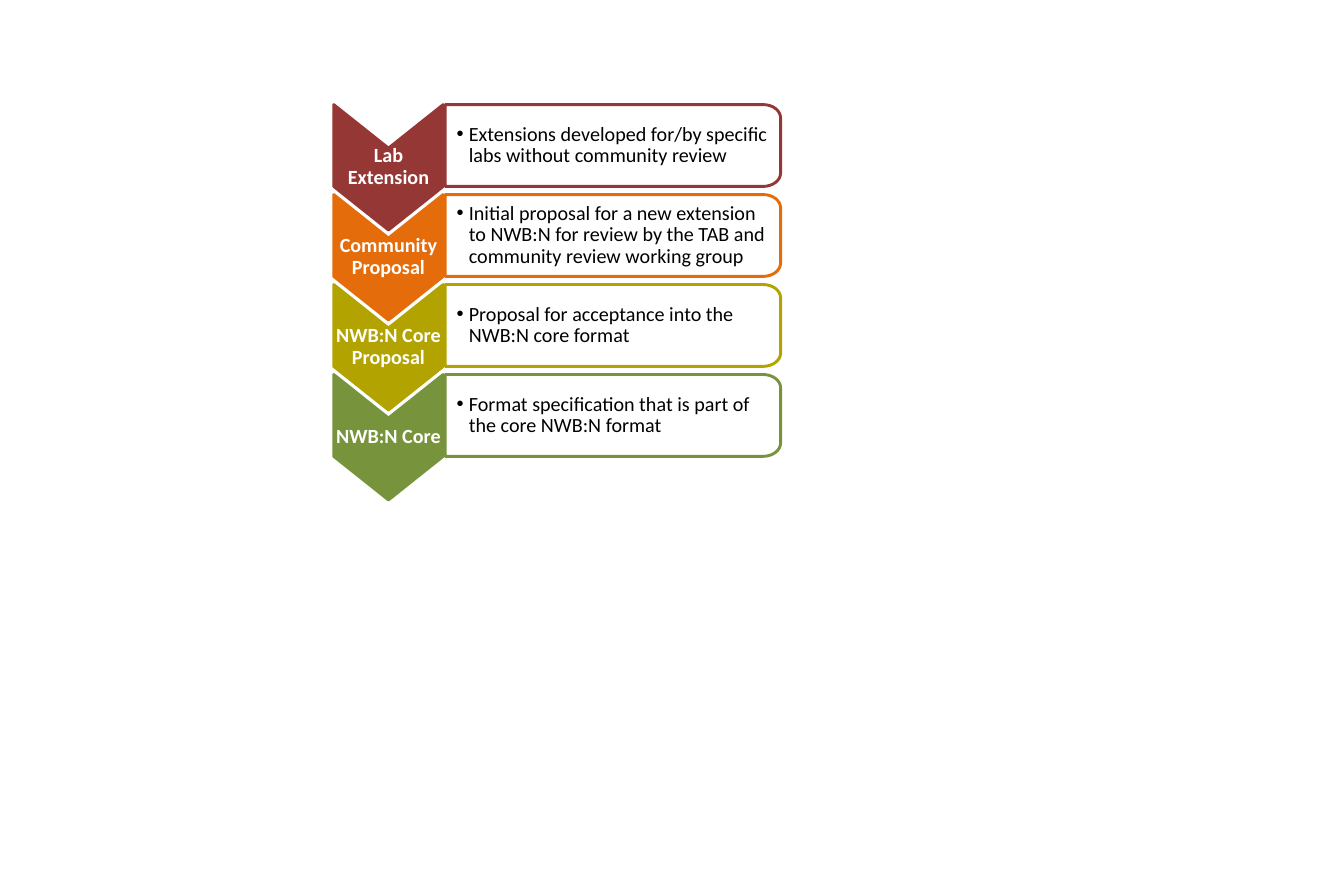
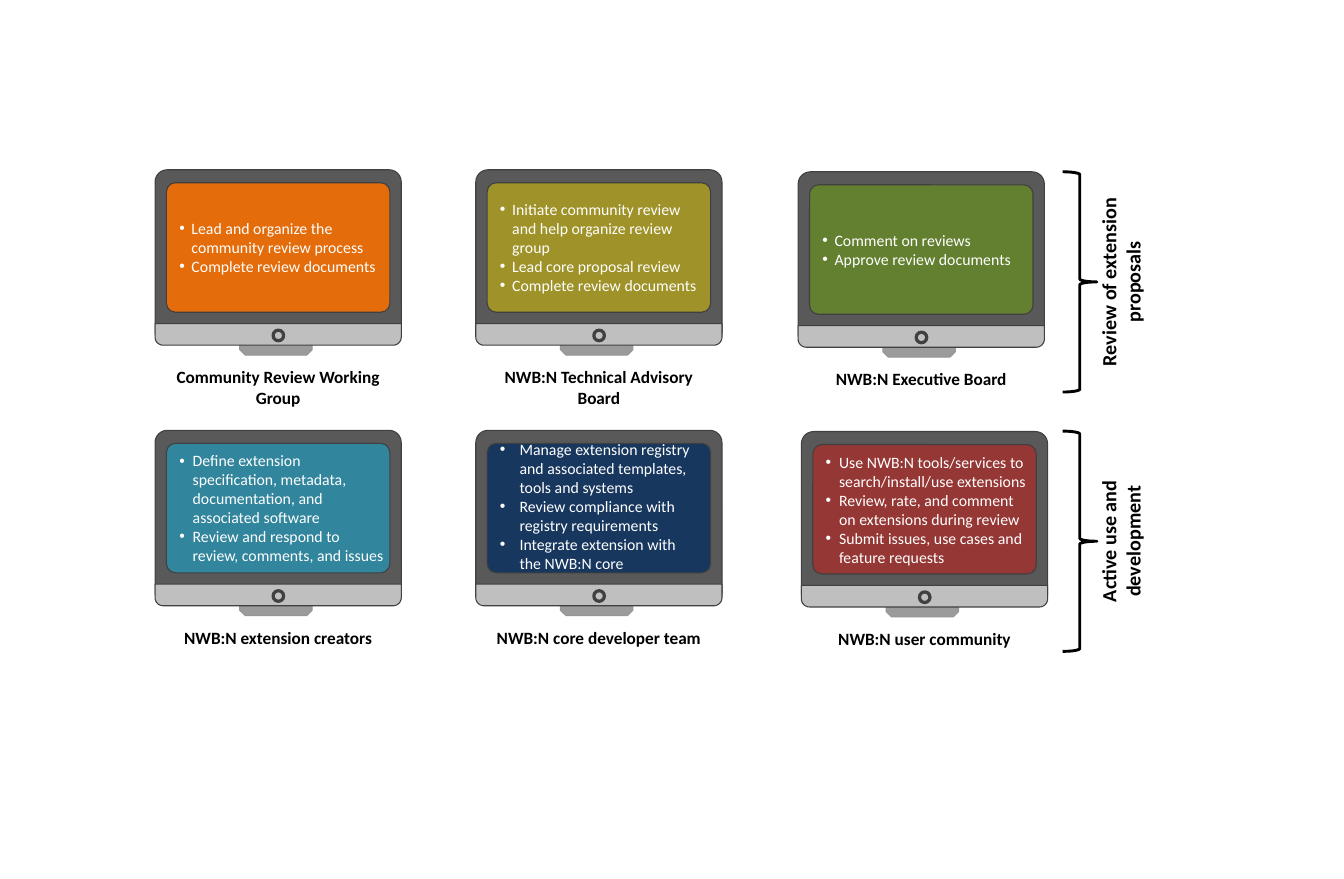
from math import cos, pi, sin

from lxml.etree import SubElement
from pptx import Presentation
from pptx.dml.color import RGBColor
from pptx.enum.shapes import MSO_SHAPE as Preset
from pptx.enum.text import MSO_ANCHOR as Anchor, MSO_AUTO_SIZE as AutoSize, PP_ALIGN as Align
from pptx.oxml.ns import qn
from pptx.util import Cm, Pt

FONT = "Calibri"
WHITE, BLACK = "FFFFFF", "000000"
CASING, EDGE, SILVER = "595959", "404040", "BFBFBF"
RED, ORANGE = "953735", "E46C0A"
DEFAULT_INSETS = (0.25, 0.13, 0.25, 0.13)

STAGES = [
    ("Lab Extension", RED,
     "Extensions developed for/by specific labs without community review"),
    ("Community Proposal", ORANGE,
     "Initial proposal for a new extension to NWB:N for review by the TAB "
     "and community review working group"),
    ("NWB:N Core Proposal", "B2A300",
     "Proposal for acceptance into the NWB:N core format"),
    ("NWB:N Core", "77933C",
     "Format specification that is part of the core NWB:N format"),
]
STAGE_LEFT, STAGE_TOP, STAGE_PITCH = 8.2, 2.57, 2.21
CHEVRON_WIDTH, CHEVRON_SIDE, CHEVRON_POINT = 2.69, 2.01, 1.07
PANEL_LEFT, PANEL_WIDTH = 10.94, 8.24

MONITORS = [
    dict(at=(3.81, 4.17), color=ORANGE, caption="Community Review Working Group",
         duties=["Lead and organize the community review process",
                 "Complete review documents"]),
    dict(at=(11.69, 4.17), color="9E9228", caption="NWB:N Technical Advisory Board",
         duties=["Initiate community review and help organize review group",
                 "Lead core proposal review",
                 "Complete review documents"]),
    dict(at=(19.61, 4.22), color="638031", caption="NWB:N Executive Board",
         duties=["Comment on reviews", "Approve review documents"]),
    dict(at=(3.81, 10.57), color="31859C", caption="NWB:N extension creators",
         indent=0.33, insets=(0.25, 0.13, 0, 0.13),
         duties=["Define extension specification, metadata, documentation, "
                 "and associated software",
                 "Review and respond to review, comments, and issues"]),
    dict(at=(11.69, 10.57), color="17375E", caption="NWB:N core developer team",
         indent=0.48, insets=(0.25, 0.05, 0.25, 0.13),
         duties=["Manage extension registry and associated templates, tools and systems",
                 "Review compliance with registry requirements",
                 "Integrate extension with the NWB:N core"]),
    dict(at=(19.69, 10.6), color=RED, caption="NWB:N user community",
         indent=0.33, insets=(0.25, 0.13, 0, 0.13),
         duties=["Use NWB:N tools/services to search/install/use extensions",
                 "Review, rate, and comment on extensions during review",
                 "Submit issues, use cases and feature requests"]),
]
MONITOR_WIDTH = 6.05

PHASES = [("Review of extension proposals", 4.22), ("Active use and development", 10.59)]
BRACE_LEFT, BRACE_WIDTH, BRACE_HEIGHT = 26.11, 0.84, 5.41
PHASE_CENTER, PHASE_HEIGHT = 27.53, 1.45


def rgb(color):
    return RGBColor.from_string(color)


def paint(shape, fill, line, width, opacity=100):
    shape.shadow.inherit = False
    if fill:
        shape.fill.solid()
        shape.fill.fore_color.rgb = rgb(fill)
        if opacity < 100:
            color = shape.element.spPr.find(qn("a:solidFill"))[0]
            SubElement(color, qn("a:alpha"), val=str(opacity * 1000))
    else:
        shape.fill.background()
    shape.line.color.rgb = rgb(line)
    shape.line.width = Pt(width)
    return shape


def add_preset(shapes, preset, left, top, width, height, fill, line, weight,
               adjustments=(), opacity=100):
    shape = shapes.add_shape(preset, Cm(left), Cm(top), Cm(width), Cm(height))
    for index, value in enumerate(adjustments):
        shape.adjustments[index] = value
    return paint(shape, fill, line, weight, opacity)


def add_outline(shapes, points, fill, line, weight, opacity=100):
    points = [(Cm(x), Cm(y)) for x, y in points]
    builder = shapes.build_freeform(*points[0])
    builder.add_line_segments(points[1:], close=True)
    return paint(builder.convert_to_shape(), fill, line, weight, opacity)


def corner(center_x, center_y, radius_x, radius_y, start):
    angles = [start + step * pi / 16 for step in range(9)]
    return [(center_x + radius_x * cos(a), center_y + radius_y * sin(a)) for a in angles]


def write(shape, texts, size, color, bold=False, align=Align.LEFT, anchor=Anchor.MIDDLE,
          insets=DEFAULT_INSETS, indent=None, spacing=None, level=0):
    frame = shape.text_frame
    frame.word_wrap = True
    frame.vertical_anchor = anchor
    (frame.margin_left, frame.margin_top,
     frame.margin_right, frame.margin_bottom) = map(Cm, insets)
    for index, text in enumerate(texts):
        paragraph = frame.add_paragraph() if index else frame.paragraphs[0]
        paragraph.alignment = align
        paragraph.level = level
        if spacing:
            paragraph.line_spacing = spacing
        if indent:
            add_bullet(paragraph, indent)
        run = paragraph.add_run()
        run.text = text
        run.font.name = FONT
        run.font.size = Pt(size)
        run.font.bold = bold
        run.font.color.rgb = rgb(color)


def add_bullet(paragraph, indent):
    properties = paragraph._p.get_or_add_pPr()
    properties.set("marL", str(Cm(indent)))
    properties.set("indent", str(-Cm(indent)))
    SubElement(properties, qn("a:buFont"), typeface="Arial")
    SubElement(properties, qn("a:buChar"), char="•")


def add_label(shapes, text, left, top, width, height, size):
    label = shapes.add_textbox(Cm(left), Cm(top), Cm(width), Cm(height))
    write(label, [text], size, BLACK, bold=True, align=Align.CENTER, anchor=Anchor.TOP)
    label.text_frame.auto_size = AutoSize.SHAPE_TO_FIT_TEXT
    return label


def add_stage(shapes, top, name, color, description):
    left, right = STAGE_LEFT, STAGE_LEFT + CHEVRON_WIDTH
    middle, bottom = (left + right) / 2, top + CHEVRON_SIDE
    chevron = add_outline(shapes, [
        (right, top), (right, bottom), (middle, bottom + CHEVRON_POINT),
        (left, bottom), (left, top), (middle, top + CHEVRON_POINT),
    ], color, color, 2)
    write(chevron, [name], 14, WHITE, bold=True, align=Align.CENTER,
          insets=(0.03, 1.42, 0.03, 1.42), spacing=0.9)

    radius_x, radius_y = 0.43, 0.33
    end = PANEL_LEFT + PANEL_WIDTH
    panel = add_outline(shapes, [
        (PANEL_LEFT, top),
        *corner(end - radius_x, top + radius_y, radius_x, radius_y, -pi / 2),
        *corner(end - radius_x, bottom - radius_y, radius_x, radius_y, 0),
        (PANEL_LEFT, bottom),
    ], WHITE, color, 2, opacity=90)
    write(panel, [description], 14, BLACK, insets=(0.28, 0.15, 0.15, 0.15),
          indent=0.3, spacing=0.9, level=1)


def add_monitor(slide, at, color, caption, duties, indent=0.3, insets=DEFAULT_INSETS):
    left, top = at
    right = left + MONITOR_WIDTH
    shapes = slide.shapes.add_group_shape().shapes
    stand = add_preset(shapes, Preset.SNIP_2_SAME_RECTANGLE, left + 2.08, top + 4.14,
                       1.78, 0.41, CASING, "969696", 0.75, (0.32, 0), opacity=60)
    stand.rotation = 180
    add_preset(shapes, Preset.ROUNDED_RECTANGLE, left, top, MONITOR_WIDTH, 4.29,
               CASING, EDGE, 0.75, (0.07,))
    base_top, base_bottom, radius = top + 3.78, top + 4.31, 0.2
    add_outline(shapes, [
        (left, base_top), (right, base_top),
        *corner(right - radius, base_bottom - radius, radius, radius, 0),
        *corner(left + radius, base_bottom - radius, radius, radius, pi / 2),
    ], SILVER, EDGE, 0.75)
    add_preset(shapes, Preset.OVAL, left + 2.9, top + 3.94, 0.26, 0.26, SILVER, EDGE, 2.25)
    screen = add_preset(shapes, Preset.ROUNDED_RECTANGLE, left + 0.28, top + 0.32,
                        5.49, 3.18, color, EDGE, 0.75, (0.07,))
    write(screen, duties, 11, WHITE, insets=insets, indent=indent)
    caption_height = 1.27 if len(caption) > 26 else 0.76
    add_label(shapes, caption, left, top + 4.7, MONITOR_WIDTH, caption_height, 12)


def add_phase(shapes, name, top):
    add_preset(shapes, Preset.RIGHT_BRACE, BRACE_LEFT, top, BRACE_WIDTH, BRACE_HEIGHT,
               None, BLACK, 2)
    label = add_label(shapes, name, PHASE_CENTER - BRACE_HEIGHT / 2,
                      top + (BRACE_HEIGHT - PHASE_HEIGHT) / 2,
                      BRACE_HEIGHT, PHASE_HEIGHT, 14)
    label.rotation = 270


def main():
    presentation = Presentation()
    presentation.slide_width, presentation.slide_height = Cm(33.02), Cm(21.59)
    blank = presentation.slide_layouts[6]

    stages_slide = presentation.slides.add_slide(blank)
    stage_shapes = stages_slide.shapes.add_group_shape().shapes
    for row, stage in enumerate(STAGES):
        add_stage(stage_shapes, STAGE_TOP + row * STAGE_PITCH, *stage)

    roles_slide = presentation.slides.add_slide(blank)
    for monitor in MONITORS:
        add_monitor(roles_slide, **monitor)
    for name, top in PHASES:
        add_phase(roles_slide.shapes, name, top)

    presentation.save("out.pptx")


if __name__ == "__main__":
    main()
